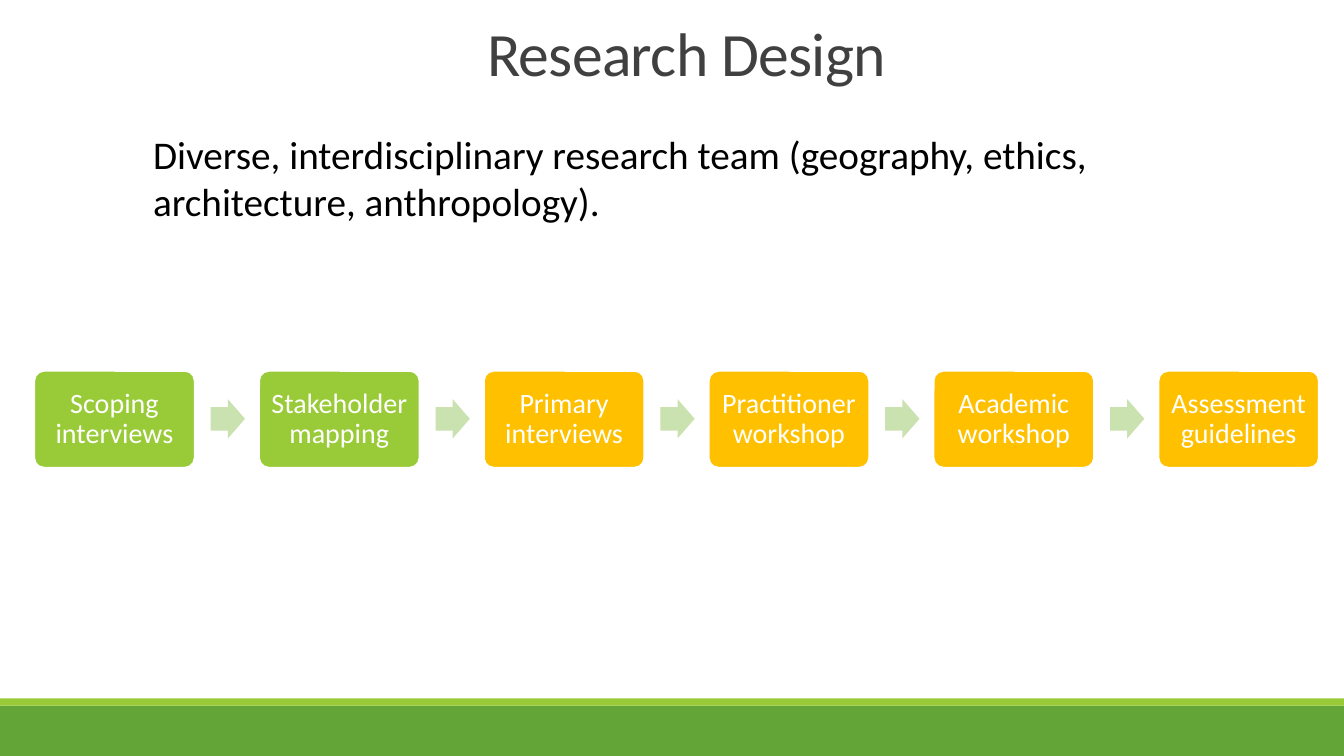
from pptx import Presentation
from pptx.dml.color import RGBColor
from pptx.enum import shapes, text
from pptx.util import Inches, Pt

GREEN, AMBER, WHITE = "99CB38", "FFC000", "FFFFFF"


def add_filled(kind, left, top, width, height, fill):
    shape = slide.shapes.add_shape(
        kind, Inches(left), Inches(top), Inches(width), Inches(height))
    shape.shadow.inherit = False
    shape.fill.solid()
    shape.fill.fore_color.rgb = RGBColor.from_string(fill)
    shape.line.fill.background()
    return shape


def set_font(paragraph, size, color):
    paragraph.font.name = "Calibri"
    paragraph.font.size = Pt(size)
    paragraph.font.color.rgb = RGBColor.from_string(color)


prs = Presentation()
prs.slide_width, prs.slide_height = Inches(13.33), Inches(7.5)
slide = prs.slides.add_slide(prs.slide_layouts[5])

# Footer bands
add_filled(shapes.MSO_SHAPE.RECTANGLE, 0, 7, 13.33, 0.5, "63A537")
add_filled(shapes.MSO_SHAPE.RECTANGLE, 0, 6.93, 13.33, 0.07, GREEN)

# Title
title = slide.shapes.title
title.left, title.top = Inches(1.31), Inches(0.21)
title.width, title.height = Inches(11), Inches(0.73)
title.text_frame.text = "Research Design"
title.text_frame.auto_size = text.MSO_AUTO_SIZE.NONE
title.text_frame.vertical_anchor = text.MSO_ANCHOR.MIDDLE
heading = title.text_frame.paragraphs[0]
heading.alignment = text.PP_ALIGN.CENTER
heading.line_spacing = 0.85
set_font(heading, 44, "404040")
heading.runs[0]._r.get_or_add_rPr().set("spc", "-50")

# Research team
team = slide.shapes.add_textbox(
    Inches(1.42), Inches(1.24), Inches(10.23), Inches(1.04)).text_frame
team.word_wrap = True
team.text = ("Diverse, interdisciplinary research team "
             "(geography, ethics, architecture, anthropology).")
set_font(team.paragraphs[0], 28, "000000")

# Process: one step box per stage, an arrow between neighbours
stages = [
    ("Scoping interviews", GREEN),
    ("Stakeholder mapping", GREEN),
    ("Primary interviews", AMBER),
    ("Practitioner workshop", AMBER),
    ("Academic workshop", AMBER),
    ("Assessment guidelines", AMBER),
]
pitch = 2.23
for i, (label, fill) in enumerate(stages):
    left = 0.34 + i * pitch
    step = add_filled(shapes.MSO_SHAPE.ROUNDED_RECTANGLE, left, 3.68, 1.59, 0.96, fill)
    step.adjustments[0] = 0.1
    step.line.color.rgb = RGBColor.from_string(WHITE)
    step.line.width = Pt(1.25)

    frame = step.text_frame
    frame.word_wrap = True
    frame.vertical_anchor = text.MSO_ANCHOR.MIDDLE
    frame.margin_left = frame.margin_right = Inches(0.08)
    frame.margin_top = frame.margin_bottom = Inches(0.08)
    frame.text = label
    caption = frame.paragraphs[0]
    caption.alignment = text.PP_ALIGN.CENTER
    caption.line_spacing = 0.9
    set_font(caption, 20, WHITE)

    if i < len(stages) - 1:
        arrow = add_filled(shapes.MSO_SHAPE.RIGHT_ARROW, left + 1.75, 3.96, 0.34, 0.39, "CAE2AF")
        arrow.adjustments[0] = 0.6
        arrow.adjustments[1] = 0.5

prs.save("out.pptx")
